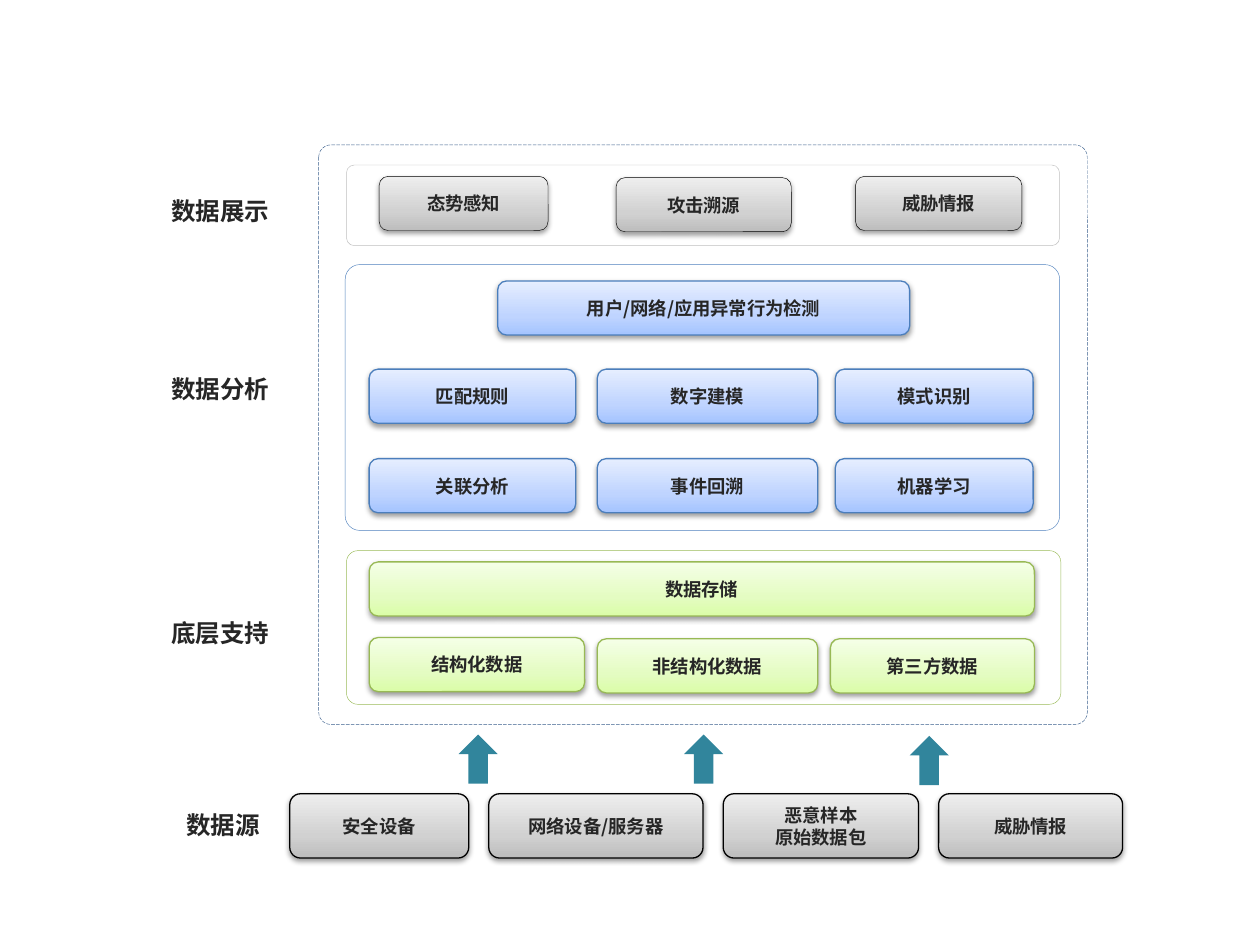
from lxml import etree
from pptx import Presentation
from pptx.dml.color import RGBColor
from pptx.enum import dml, shapes, text
from pptx.oxml import parse_xml
from pptx.oxml.ns import nsdecls, qn
from pptx.util import Inches, Pt

THEME = {
    "font": "Noto Sans CJK SC",
    "ink": "262626",
    "arrow": "31859C",
    "box_size": 10.5,
    "label_size": 14,
    # gradient stops from bottom to top, then the outline
    "grey": (("BDBDBD", "D1D1D1", "EEEEEE"), "000000"),
    "green": (("DAFDA7", "E4FCC2", "F5FFE7"), "98B955"),
    "blue": (("A4C4FF", "BFD4FF", "E6EEFF"), "4B7EBC"),
}
STOP_POSITIONS = (0, 35, 100)
SHADOW = (
    f'<a:outerShdw {nsdecls("a")} blurRad="{Pt(3.1)}" dist="{Pt(1.6)}" dir="5400000" rotWithShape="0">'
    '<a:srgbClr val="000000"><a:alpha val="38000"/></a:srgbClr></a:outerShdw>'
)

presentation = Presentation()
presentation.slide_width, presentation.slide_height = Inches(10), Inches(7.5)
slide = presentation.slides.add_slide(presentation.slide_layouts[6])


def add_outlined(preset, box, line_color=None, line_width=0.25):
    """Add an unfilled shape without a shadow."""
    shape = slide.shapes.add_shape(preset, *map(Inches, box))
    shape.shadow.inherit = False
    shape.fill.background()
    if line_color:
        shape.line.color.rgb = RGBColor.from_string(line_color)
        shape.line.width = Pt(line_width)
    else:
        shape.line.fill.background()
    return shape


def write(frame, lines, size, alignment):
    """Write one paragraph per line in the theme font."""
    for index, line in enumerate(lines):
        paragraph = frame.paragraphs[0] if index == 0 else frame.add_paragraph()
        paragraph.alignment = alignment
        run = paragraph.add_run()
        run.text = line
        run.font.size = Pt(size)
        run.font.bold = True
        run.font.name = THEME["font"]
        run.font.color.rgb = RGBColor.from_string(THEME["ink"])
        east_asian = etree.SubElement(run.font._element, qn("a:ea"))
        east_asian.set("typeface", THEME["font"])


# Frames: box, corner, outline, dash, fill
frames = [
    ((2.53, 1.15, 6.1, 4.6), 0.021, "3A5F8C", dml.MSO_LINE.LONG_DASH, None),
    ((2.75, 1.31, 5.66, 0.64), 0.098, "BFBFBF", None, None),
    ((2.74, 2.1, 5.67, 2.11), 0.055, "4F81BD", None, "FFFFFF"),
    ((2.75, 4.37, 5.67, 1.22), 0.075, "9BBB59", None, None),
]
for box, corner, outline, dash, fill in frames:
    frame = add_outlined(shapes.MSO_SHAPE.ROUNDED_RECTANGLE, box, outline)
    frame.adjustments[0] = corner
    if dash:
        frame.line.dash_style = dash
    if fill:
        frame.fill.solid()
        frame.fill.fore_color.rgb = RGBColor.from_string(fill)

# Rows of boxes: style, outline width, height, then (left, top, width, text)
analysis_columns = ((2.93, 1.64), (4.74, 1.75), (6.63, 1.57))
analysis_rows = (
    (2.93, ("匹配规则", "数字建模", "模式识别")),
    (3.64, ("关联分析", "事件回溯", "机器学习")),
)
analysis_boxes = [
    (left, top, width, name)
    for top, names in analysis_rows
    for (left, width), name in zip(analysis_columns, names)
]
rows = [
    ("grey", 0.25, 0.43, [
        (3.01, 1.4, 1.34, "态势感知"),
        (4.89, 1.41, 1.39, "攻击溯源"),
        (6.79, 1.4, 1.32, "威胁情报"),
    ]),
    ("blue", 0.75, 0.43, [(3.95, 2.23, 3.27, "用户/网络/应用异常行为检测")] + analysis_boxes),
    ("green", 0.75, 0.43, [
        (2.93, 4.46, 5.28, "数据存储"),
        (2.93, 5.06, 1.71, "结构化数据"),
        (4.74, 5.07, 1.75, "非结构化数据"),
        (6.59, 5.07, 1.62, "第三方数据"),
    ]),
    ("grey", 0.75, 0.51, [
        (2.3, 6.3, 1.42, "安全设备"),
        (3.88, 6.3, 1.7, "网络设备/服务器"),
        (5.74, 6.3, 1.55, "恶意样本\n原始数据包"),
        (7.45, 6.3, 1.46, "威胁情报"),
    ]),
]
for style, line_width, height, boxes in rows:
    colors, outline = THEME[style]
    for left, top, width, name in boxes:
        shape = add_outlined(
            shapes.MSO_SHAPE.ROUNDED_RECTANGLE, (left, top, width, height), outline, line_width
        )
        shape.fill.gradient()
        shape.fill.gradient_angle = 90
        properties = shape._element.spPr
        stops = properties.find(".//" + qn("a:gsLst"))
        for stop in list(stops):
            stops.remove(stop)
        for position, color in zip(STOP_POSITIONS, colors):
            stop = etree.SubElement(stops, qn("a:gs"), pos=str(position * 1000))
            etree.SubElement(stop, qn("a:srgbClr"), val=color)
        properties.find(qn("a:effectLst")).append(parse_xml(SHADOW))
        shape.text_frame.vertical_anchor = text.MSO_ANCHOR.MIDDLE
        write(shape.text_frame, name.split("\n"), THEME["box_size"], text.PP_ALIGN.CENTER)

# Arrows from the sources up to the platform
for left, top in ((3.64, 5.83), (5.43, 5.83), (7.22, 5.84)):
    arrow = add_outlined(shapes.MSO_SHAPE.UP_ARROW, (left, top, 0.31, 0.39))
    arrow.fill.solid()
    arrow.fill.fore_color.rgb = RGBColor.from_string(THEME["arrow"])

# Layer labels
labels = [
    (1.26, 1.51, 0.99, "数据展示"),
    (1.26, 2.92, 0.99, "数据分析"),
    (1.26, 4.86, 0.99, "底层支持"),
    (1.38, 6.38, 0.79, "数据源"),
]
for left, top, width, name in labels:
    label = slide.shapes.add_textbox(Inches(left), Inches(top), Inches(width), Inches(0.34))
    label.text_frame.word_wrap = False
    label.text_frame.auto_size = text.MSO_AUTO_SIZE.SHAPE_TO_FIT_TEXT
    write(label.text_frame, [name], THEME["label_size"], text.PP_ALIGN.LEFT)

presentation.save("out.pptx")
